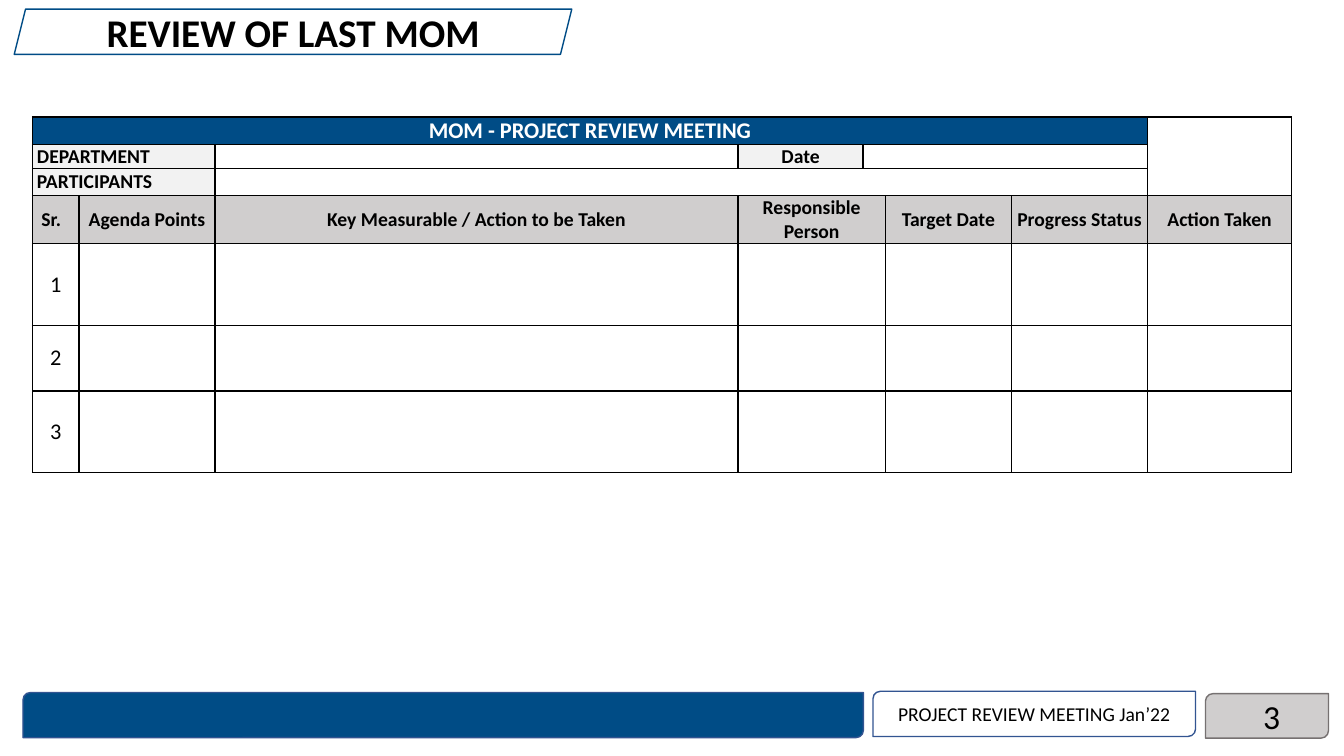
import pptx
import pptx.util
import pptx.dml.color
import pptx.enum.shapes
import pptx.enum.text
import pptx.oxml
import pptx.oxml.ns

Cm, Pt = pptx.util.Cm, pptx.util.Pt
RGB = pptx.dml.color.RGBColor
SHAPE = pptx.enum.shapes.MSO_SHAPE
ALIGN = pptx.enum.text.PP_ALIGN
ANCHOR = pptx.enum.text.MSO_ANCHOR

BLUE = RGB(0x00, 0x4C, 0x86)
EDGE = RGB(0x32, 0x54, 0x91)
GREY = RGB(0xD0, 0xCE, 0xCE)
PALE = RGB(0xF2, 0xF2, 0xF2)
DARK = RGB(0x76, 0x71, 0x71)
BLACK = RGB(0, 0, 0)
WHITE = RGB(255, 255, 255)

# Content: table text by row and column
TITLE = "REVIEW OF LAST MOM"
FOOTER = "PROJECT REVIEW MEETING Jan’22"
PAGE = "3"
ROWS = [
    ["MOM - PROJECT REVIEW MEETING"],
    ["DEPARTMENT", "", "", "Date"],
    ["PARTICIPANTS"],
    ["Sr.", "Agenda Points", "Key Measurable / Action to be Taken",
     "Responsible Person", "", "Target Date", "Progress Status",
     "Action Taken"],
    ["1"], ["2"], ["3"],
]
HEAD = 3  # row of column heads
WIDTHS = [1.17, 3.43, 13.18, 3.15, 0.56, 3.18, 3.43, 3.63]
HEIGHTS = [0.69, 0.6, 0.69, 1.21, 2.06, 1.65, 2.06]
# First row, first column, last row, last column
SPANS = [(0, 0, 0, 6), (0, 7, 2, 7), (1, 0, 1, 1), (1, 4, 1, 6),
         (2, 0, 2, 1), (2, 2, 2, 6)]
SPANS += [(row, 3, row, 4) for row in range(HEAD, len(ROWS))]
INDENTS = {"DEPARTMENT": 0.11, "PARTICIPANTS": 0.11, "Sr.": 0.22}
FILLS = {(0, 0): BLUE, (1, 0): PALE, (1, 3): PALE, (2, 0): PALE}
FILLS.update({(HEAD, col): GREY for col in range(len(WIDTHS))})


def write(frame, text, size, color=BLACK, bold=False, align=ALIGN.CENTER):
    para = frame.paragraphs[0]
    para.alignment = align
    font = para.font
    font.name, font.size, font.bold = "Calibri", Pt(size), bold
    font.color.rgb = color
    if text:
        para.add_run().text = text
    else:
        # An empty cell takes its line height from the end mark
        end = pptx.oxml.parse_xml(
            f'<a:endParaRPr {pptx.oxml.ns.nsdecls("a")} sz="{size * 100}"/>')
        para._p.append(end)


def panel(slide, kind, box, fill, line, text="", size=14, bold=False):
    shape = slide.shapes.add_shape(kind, *map(Cm, box))
    shape.shadow.inherit = False
    if fill is None:
        shape.fill.background()
    else:
        shape.fill.solid()
        shape.fill.fore_color.rgb = fill
    shape.line.color.rgb = line
    shape.line.width = Pt(1)
    if text:
        frame = shape.text_frame
        frame.word_wrap = True
        frame.vertical_anchor = ANCHOR.MIDDLE
        write(frame, text, size, bold=bold)


def border(cell):
    props = cell._tc.get_or_add_tcPr()
    for index, side in enumerate(("lnL", "lnR", "lnT", "lnB")):
        props.insert(index, pptx.oxml.parse_xml(
            f'<a:{side} {pptx.oxml.ns.nsdecls("a")} w="12700"><a:solidFill>'
            f'<a:srgbClr val="{BLACK}"/></a:solidFill></a:{side}>'))


def style(cell, row, col):
    text = ROWS[row][col] if col < len(ROWS[row]) else ""
    cell.margin_left = Cm(INDENTS.get(text, 0))
    cell.margin_right = cell.margin_top = cell.margin_bottom = 0
    cell.vertical_anchor = ANCHOR.BOTTOM if row == 0 else ANCHOR.MIDDLE
    write(cell.text_frame, text,
          size=16 if row == 0 or row > HEAD else 14,
          color=WHITE if row == 0 else BLACK,
          bold=row <= HEAD,
          align=ALIGN.LEFT if text in INDENTS else ALIGN.CENTER)
    if (row, col) in FILLS:
        cell.fill.solid()
        cell.fill.fore_color.rgb = FILLS[row, col]
    else:
        cell.fill.background()
    border(cell)


def grid(slide):
    frame = slide.shapes.add_table(
        len(HEIGHTS), len(WIDTHS), Cm(0.82), Cm(2.95),
        Cm(sum(WIDTHS)), Cm(sum(HEIGHTS)))
    table = frame.table
    table.first_row = table.horz_banding = False
    for col, width in enumerate(WIDTHS):
        table.columns[col].width = Cm(width)
    for row, height in enumerate(HEIGHTS):
        table.rows[row].height = Cm(height)
        for col in range(len(WIDTHS)):
            style(table.cell(row, col), row, col)
    for top, left, low, right in SPANS:
        table.cell(top, left).merge(table.cell(low, right))


def main():
    deck = pptx.Presentation()
    deck.slide_width, deck.slide_height = Cm(33.87), Cm(19.05)
    slide = deck.slides.add_slide(deck.slide_layouts[6])

    # Footer bars
    tab = SHAPE.ROUND_2_DIAG_RECTANGLE
    panel(slide, tab, (0.58, 17.45, 21.18, 1.14), BLUE, EDGE)
    panel(slide, tab, (30.38, 17.48, 3.1, 1.12), GREY, DARK)

    # Title and table
    panel(slide, SHAPE.PARALLELOGRAM, (0.36, 0.23, 14.05, 1.14), None, BLUE,
          TITLE, 28, True)
    grid(slide)

    # Page number and footer label
    box = slide.shapes.add_textbox(Cm(24.89), Cm(17.53), Cm(7.62), Cm(1.02))
    box.text_frame.word_wrap = True
    box.text_frame.vertical_anchor = ANCHOR.MIDDLE
    write(box.text_frame, PAGE, 24, align=ALIGN.RIGHT)
    panel(slide, tab, (22, 17.42, 8.13, 1.14), None, EDGE, FOOTER)

    deck.save("out.pptx")


if __name__ == "__main__":
    main()
